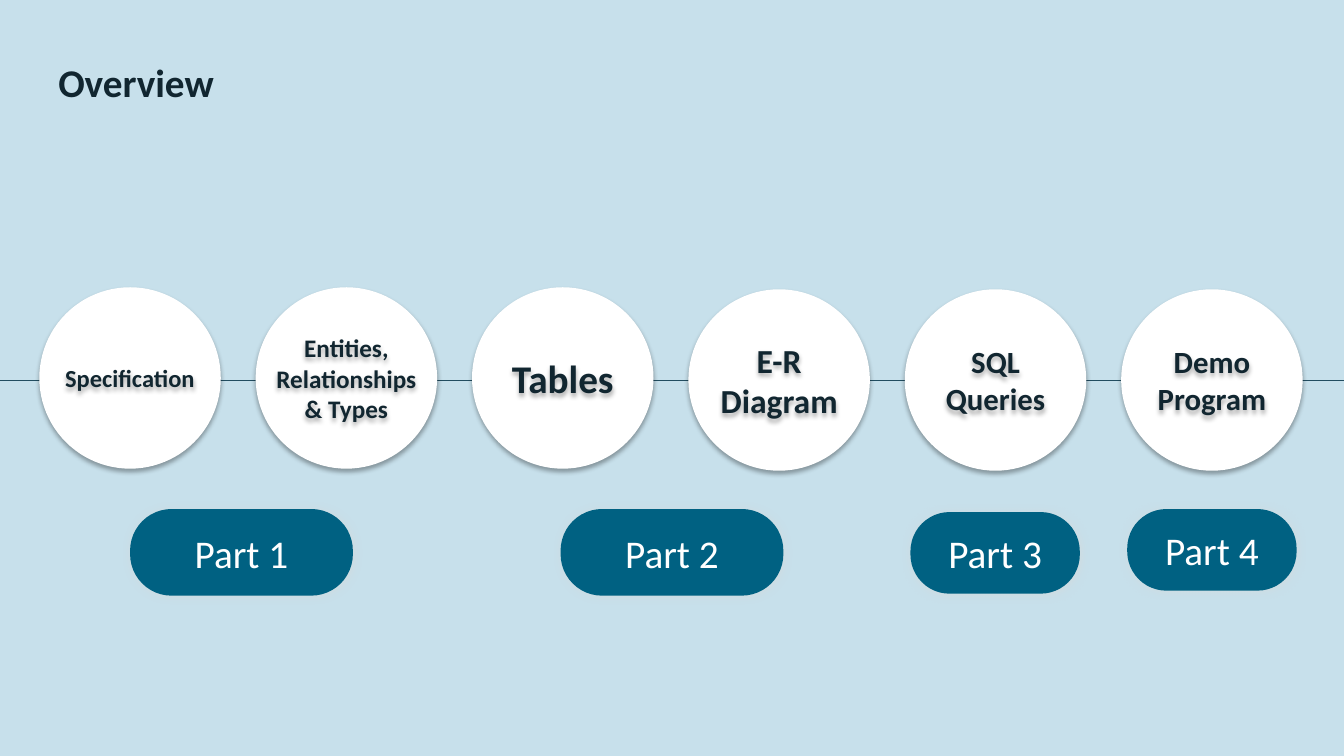
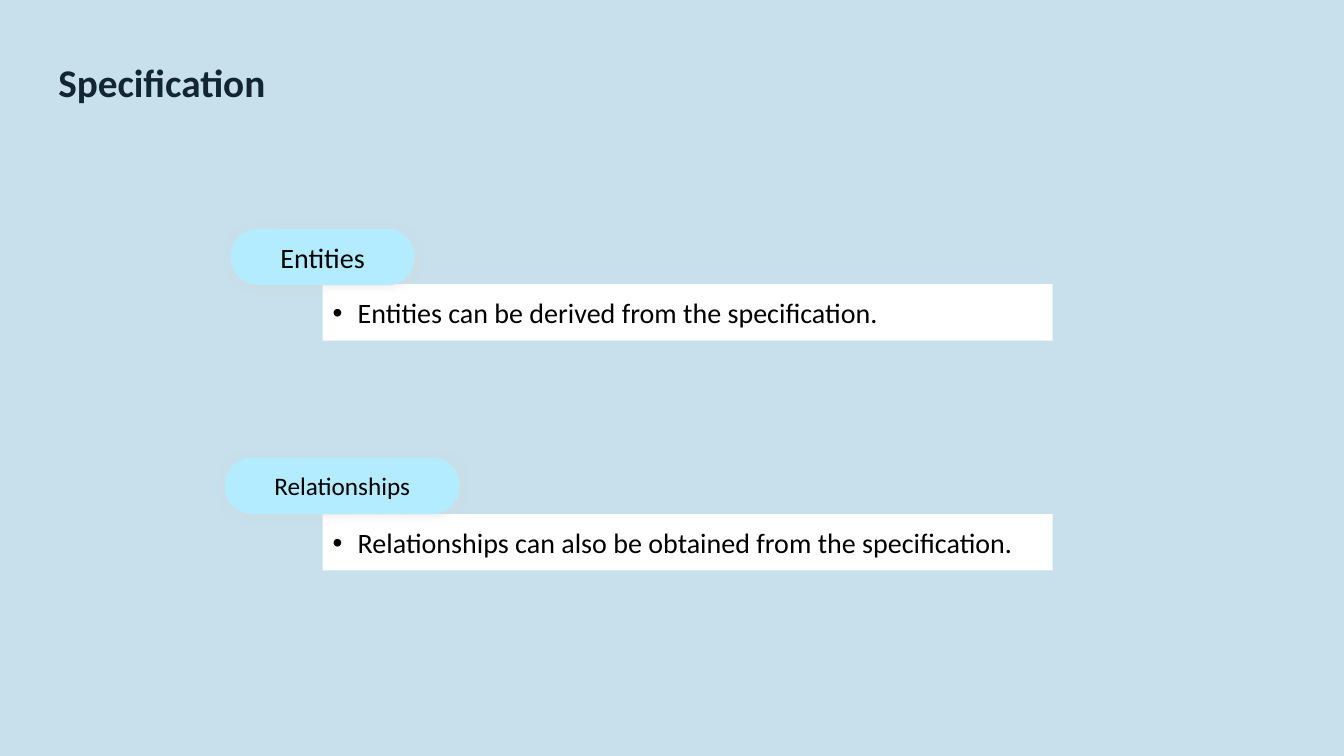
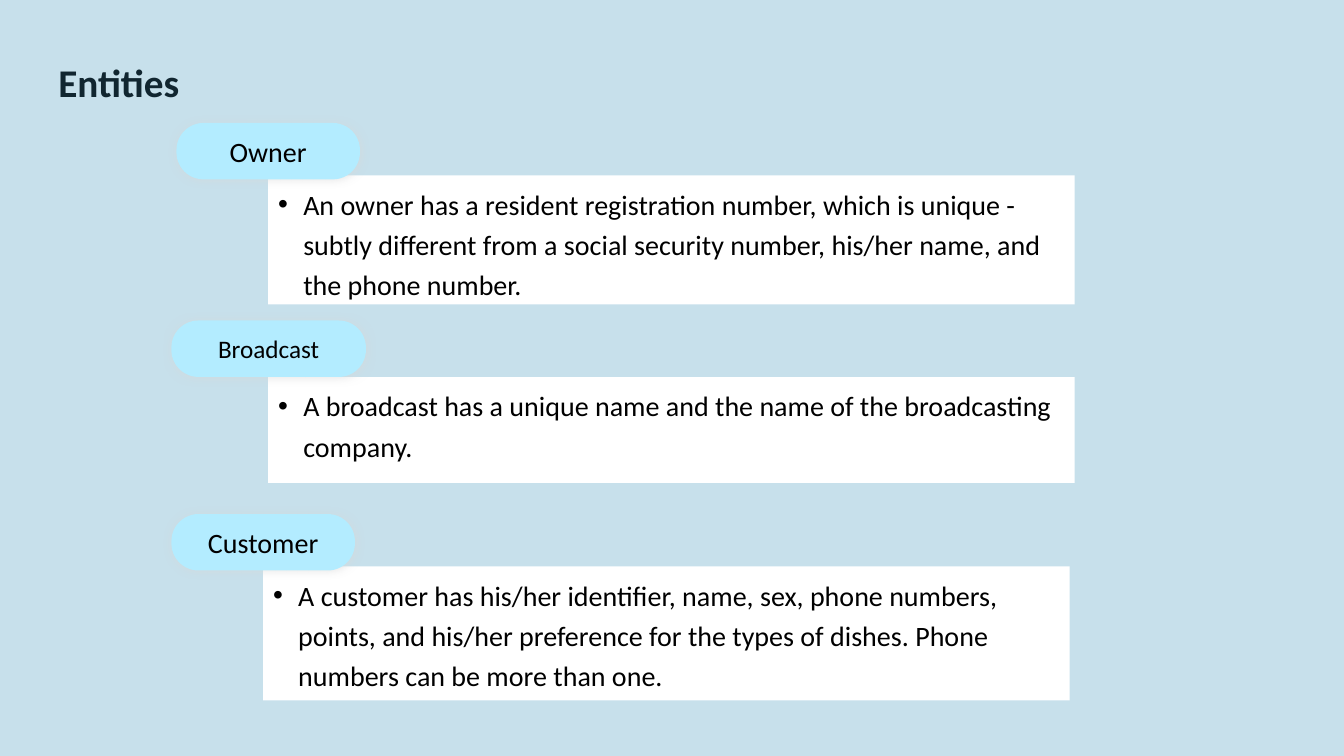
import pptx
import pptx.dml.color
import pptx.enum.shapes
import pptx.enum.text
import pptx.oxml
import pptx.oxml.ns
import pptx.shapes.autoshape
import pptx.slide
import pptx.util
from dataclasses import dataclass
from typing import Any

Inches = pptx.util.Inches
Pt = pptx.util.Pt
Kind = pptx.enum.shapes.MSO_SHAPE
Align = pptx.enum.text.PP_ALIGN
Anchor = pptx.enum.text.MSO_ANCHOR
Shape = pptx.shapes.autoshape.Shape
Slide = pptx.slide.Slide


@dataclass(frozen=True)
class Shade:
    color: str
    alpha: int
    blur: float
    dist: float
    angle: int


@dataclass(frozen=True)
class Theme:
    font: str = "Calibri"
    back: str = "C7E0EB"
    ink: str = "112630"
    rule: str = "224D60"
    deep: str = "006182"
    sky: str = "B3ECFF"
    white: str = "FFFFFF"
    black: str = "000000"
    head: float = 28
    body: float = 20
    small: float = 18
    drop: Shade = Shade("000000", 32, 3.5, 2.2, 90)
    glow: Shade = Shade("D9D9D9", 60, 6, 1, 45)


THEME = Theme()


@dataclass(frozen=True)
class Box:
    left: float
    top: float
    width: float
    height: float

    def place(self) -> tuple[int, ...]:
        return tuple(Inches(n) for n in (self.left, self.top, self.width, self.height))


@dataclass(frozen=True)
class Step:
    text: str
    size: float
    top: float


@dataclass(frozen=True)
class Part:
    text: str
    box: Box


@dataclass(frozen=True)
class Card:
    label: str
    size: float
    pill: Box
    body: Box
    text: str


def tint(code: str) -> pptx.dml.color.RGBColor:
    return pptx.dml.color.RGBColor.from_string(code)


def cast(shape: Shape, shade: Shade) -> None:
    shape.shadow.inherit = False
    xml = (
        f'<a:outerShdw {pptx.oxml.ns.nsdecls("a")} blurRad="{Pt(shade.blur)}" '
        f'dist="{Pt(shade.dist)}" dir="{shade.angle * 60000}" algn="t" rotWithShape="0">'
        f'<a:srgbClr val="{shade.color}"><a:alpha val="{shade.alpha * 1000}"/>'
        "</a:srgbClr></a:outerShdw>"
    )
    list_ = shape._element.spPr.find(pptx.oxml.ns.qn("a:effectLst"))
    list_.append(pptx.oxml.parse_xml(xml))


def draw(shapes: Any, kind: Kind, box: Box, fill: str) -> Shape:
    shape = shapes.add_shape(kind, *box.place())
    shape.shadow.inherit = False
    shape.fill.solid()
    shape.fill.fore_color.rgb = tint(fill)
    shape.line.fill.background()
    return shape


def write(shape: Shape, text: str, size: float, color: str, bold: bool = False,
          align: Align = Align.CENTER, anchor: Anchor = Anchor.MIDDLE) -> Any:
    frame = shape.text_frame
    frame.word_wrap = True
    frame.vertical_anchor = anchor
    para = frame.paragraphs[0]
    para.alignment = align
    run = para.add_run()
    run.text = text
    run.font.name = THEME.font
    run.font.size = Pt(size)
    run.font.bold = bold
    run.font.color.rgb = tint(color)
    return para


def start(deck: Any, title: str, width: float) -> Slide:
    slide = deck.slides.add_slide(deck.slide_layouts[6])
    shape = slide.shapes.add_textbox(*Box(0.48, 0.53, width, 0.57).place())
    write(shape, title, THEME.head, THEME.ink, True, Align.LEFT)
    return slide


def draw_line(slide: Slide, top: float, width: float) -> None:
    line = slide.shapes.add_connector(
        pptx.enum.shapes.MSO_CONNECTOR.STRAIGHT,
        Inches(0), Inches(top), Inches(width), Inches(top))
    line.line.color.rgb = tint(THEME.rule)
    line.line.width = Pt(0.5)
    line._element.spPr.append(
        pptx.oxml.parse_xml(f'<a:effectLst {pptx.oxml.ns.nsdecls("a")}/>'))


def draw_step(slide: Slide, step: Step, left: float) -> None:
    side, width, height = 1.8, 1.66, 1.02
    group = slide.shapes.add_group_shape()
    disc = draw(group.shapes, Kind.OVAL, Box(left, step.top, side, side), THEME.white)
    cast(disc, THEME.drop)
    box = Box(left + (side - width) / 2, step.top + (side - height) / 2, width, height)
    label = group.shapes.add_textbox(*box.place())
    cast(label, THEME.drop)
    write(label, step.text, step.size, THEME.ink, True)


def draw_pill(slide: Slide, box: Box, text: str, size: float, fill: str, color: str) -> None:
    pill = draw(slide.shapes, Kind.ROUNDED_RECTANGLE, box, fill)
    pill.adjustments[0] = 0.48
    cast(pill, THEME.glow)
    write(pill, text, size, color)


def draw_card(slide: Slide, card: Card) -> None:
    panel = draw(slide.shapes, Kind.RECTANGLE, card.body, THEME.white)
    para = write(panel, card.text, THEME.body, THEME.black,
                 align=Align.LEFT, anchor=Anchor.TOP)
    para.line_spacing = 1.2
    props = para._p.get_or_add_pPr()
    props.set("marL", str(Inches(0.25)))
    props.set("indent", str(-Inches(0.25)))
    for tag in ('buFont typeface="Arial"', 'buChar char="•"'):
        props.append(pptx.oxml.parse_xml(f'<a:{tag} {pptx.oxml.ns.nsdecls("a")}/>'))
    draw_pill(slide, card.pill, card.label, card.size, THEME.sky, THEME.black)


STEPS = [
    Step("Specification", 17.5, 2.85),
    Step("Entities, Relationships & Types", 18, 2.85),
    Step("Tables", 28, 2.85),
    Step("E-R Diagram", 24, 2.87),
    Step("SQL Queries", 22, 2.87),
    Step("Demo Program", 22, 2.87),
]
PARTS = [
    Part("Part 1", Box(1.29, 5.05, 2.21, 0.86)),
    Part("Part 2", Box(5.56, 5.05, 2.21, 0.86)),
    Part("Part 3", Box(9.03, 5.08, 1.68, 0.81)),
    Part("Part 4", Box(11.18, 5.05, 1.68, 0.81)),
]
SOURCES = [
    Card("Entities", THEME.body, Box(2.29, 2.27, 1.82, 0.56), Box(3.2, 2.82, 7.24, 0.56),
         "Entities can be derived from the specification."),
    Card("Relationships", THEME.small, Box(2.23, 4.54, 2.33, 0.56), Box(3.2, 5.1, 7.24, 0.56),
         "Relationships can also be obtained from the specification."),
]
ACTORS = [
    Card("Owner", THEME.body, Box(1.75, 1.22, 1.82, 0.56), Box(2.66, 1.74, 8, 1.28),
         "An owner has a resident registration number, which is unique - subtly different "
         "from a social security number, his/her name, and the phone number."),
    Card("Broadcast", THEME.small, Box(1.7, 3.18, 1.93, 0.56), Box(2.66, 3.74, 8, 1.05),
         "A broadcast has a unique name and the name of the broadcasting company."),
    Card("Customer", THEME.body, Box(1.7, 5.1, 1.82, 0.56), Box(2.61, 5.62, 8, 1.33),
         "A customer has his/her identifier, name, sex, phone numbers, points, and his/her "
         "preference for the types of dishes. Phone numbers can be more than one."),
]


def main() -> None:
    deck = pptx.Presentation()
    deck.slide_width, deck.slide_height = Inches(13.33), Inches(7.5)
    fill = deck.slide_master.background.fill
    fill.solid()
    fill.fore_color.rgb = tint(THEME.back)

    slide = start(deck, "Overview", 5.33)
    draw_line(slide, 3.77, 13.33)
    first, last = 0.39, 11.12
    pitch = (last - first) / (len(STEPS) - 1)
    for i, step in enumerate(STEPS):
        draw_step(slide, step, first + i * pitch)
    for part in PARTS:
        draw_pill(slide, part.box, part.text, THEME.head, THEME.deep, THEME.white)

    for title, width, cards in (("Specification", 6.34, SOURCES), ("Entities", 7.36, ACTORS)):
        slide = start(deck, title, width)
        for card in cards:
            draw_card(slide, card)

    deck.save("out.pptx")


if __name__ == "__main__":
    main()
